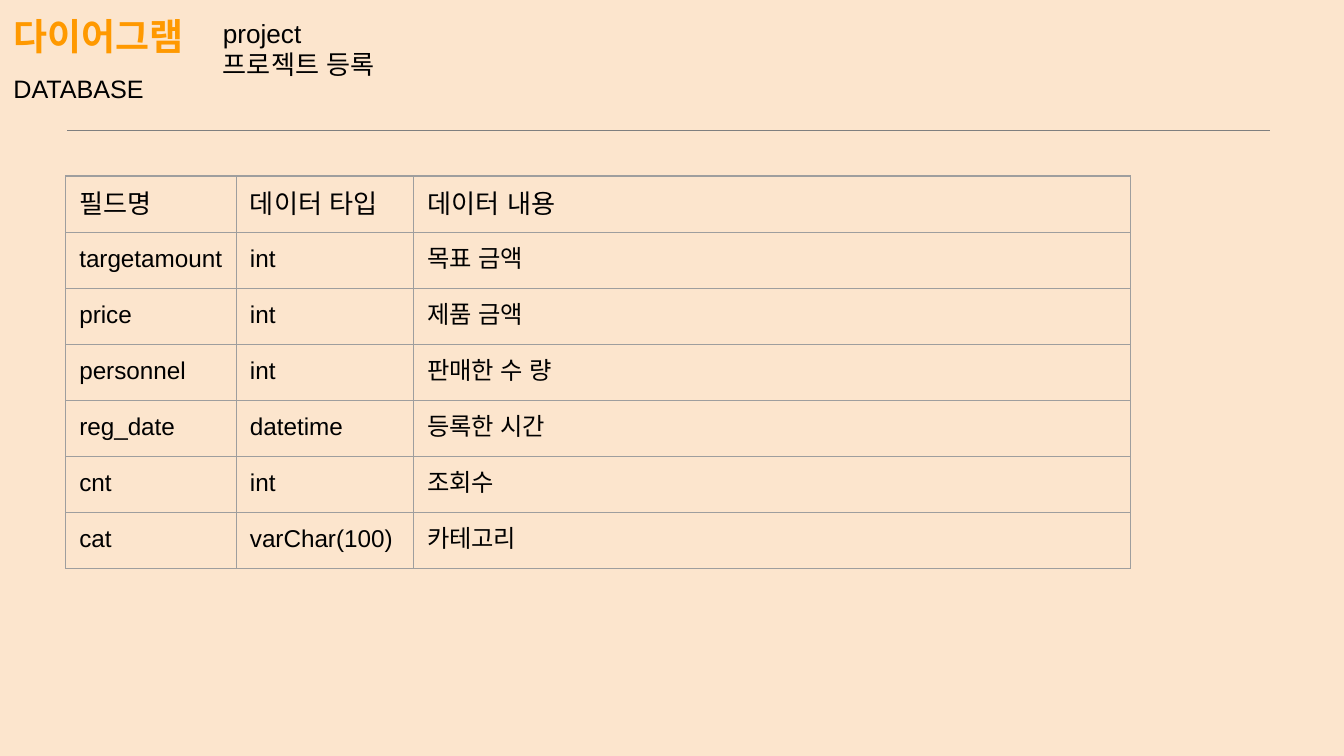
"""Build the database field table slide for project registration."""
from lxml import etree
from pptx import Presentation
from pptx.dml.color import RGBColor
from pptx.enum.lang import MSO_LANGUAGE_ID
from pptx.enum.shapes import MSO_CONNECTOR
from pptx.enum.text import MSO_ANCHOR, MSO_AUTO_SIZE, PP_ALIGN
from pptx.oxml.ns import qn
from pptx.util import Inches, Pt

STRAIGHT = MSO_CONNECTOR.STRAIGHT
TOP, LEFT = MSO_ANCHOR.TOP, PP_ALIGN.LEFT
NO_FIT = MSO_AUTO_SIZE.NONE
KOREAN = MSO_LANGUAGE_ID.KOREAN

HEADING = [("다이어그램", "heading"), ("DATABASE", "subheading")]
TOPIC = [("project", "label"), ("프로젝트 등록", "label")]
FIELDS = [
    ("필드명", "데이터 타입", "데이터 내용"),
    ("targetamount", "int", "목표 금액"),
    ("price", "int", "제품 금액"),
    ("personnel", "int", "판매한 수 량"),
    ("reg_date", "datetime", "등록한 시간"),
    ("cnt", "int", "조회수"),
    ("cat", "varChar(100)", "카테고리"),
]
COLUMN_WIDTHS = (1.27, 1.32, 5.33)
ROW_HEIGHT = Pt(30)
THEME = {
    "font": "Arial",
    "background": "FCE5CD",
    "rule": "7F7F7F",
    "border": "9E9E9E",
    "line": 0.75,
    "inset": 0.1,
    "heading": {"size": 19.8, "color": "FF9900", "bold": True},
    "subheading": {"size": 13.5, "color": "000000", "bold": False},
    "label": {"size": 14, "color": "000000", "bold": False},
    "entry": {"size": 13, "color": "000000", "bold": False},
}
FRAME_FORMAT = {"word_wrap": True, "auto_size": NO_FIT, "vertical_anchor": TOP}


def set_insets(target):
    for side in ("left", "top", "right", "bottom"):
        setattr(target, f"margin_{side}", Inches(THEME["inset"]))


def write(frame, lines):
    for index, (text, role) in enumerate(lines):
        paragraph = frame.add_paragraph() if index else frame.paragraphs[0]
        paragraph.alignment = LEFT
        run = paragraph.add_run()
        run.text = text
        style = THEME[role]
        font_format = {
            "name": THEME["font"],
            "size": Pt(style["size"]),
            "bold": style["bold"],
            "language_id": KOREAN,
        }
        for name, value in font_format.items():
            setattr(run.font, name, value)
        run.font.color.rgb = RGBColor.from_string(style["color"])
        for script in ("ea", "cs"):
            etree.SubElement(run._r.rPr, qn(f"a:{script}"), typeface=THEME["font"])


def fill_text_shape(shape, lines):
    for name, value in FRAME_FORMAT.items():
        setattr(shape.text_frame, name, value)
    set_insets(shape.text_frame)
    write(shape.text_frame, lines)


def draw_borders(cell):
    properties = cell._tc.get_or_add_tcPr()
    for index, side in enumerate(("lnL", "lnR", "lnT", "lnB")):
        border = etree.Element(qn(f"a:{side}"), w=str(Pt(THEME["line"])))
        fill = etree.SubElement(border, qn("a:solidFill"))
        etree.SubElement(fill, qn("a:srgbClr"), val=THEME["border"])
        properties.insert(index, border)


def add_rule(slide):
    rule = slide.shapes.add_connector(
        STRAIGHT, Inches(0.5), Inches(0.97), Inches(9.45), Inches(0.97))
    rule.line.color.rgb = RGBColor.from_string(THEME["rule"])
    rule.line.width = Pt(THEME["line"])
    etree.SubElement(rule._element.spPr, qn("a:effectLst"))


def add_heading(slide):
    title = slide.shapes.title
    box = {"left": 0, "top": 0, "width": 1.68, "height": 0.64}
    for name, value in box.items():
        setattr(title, name, Inches(value))
    fill_text_shape(title, HEADING)
    title.text_frame.paragraphs[1].line_spacing = 1.5


def add_topic(slide):
    topic = slide.shapes.add_textbox(Inches(1.56), Inches(0.03), Inches(1.56), Inches(0.67))
    fill_text_shape(topic, TOPIC)


def add_fields(slide):
    table = slide.shapes.add_table(
        len(FIELDS), len(COLUMN_WIDTHS), Inches(0.49), Inches(1.31),
        Inches(sum(COLUMN_WIDTHS)), ROW_HEIGHT * len(FIELDS)).table
    table.first_row = table.horz_banding = False
    for column, width in zip(table.columns, COLUMN_WIDTHS):
        column.width = Inches(width)
    for index, (row, field) in enumerate(zip(table.rows, FIELDS)):
        row.height = ROW_HEIGHT
        for cell, text in zip(row.cells, field):
            cell.fill.background()
            cell.vertical_anchor = TOP
            set_insets(cell)
            write(cell.text_frame, [(text, "entry" if index else "label")])
            draw_borders(cell)


def main():
    deck = Presentation()
    deck.slide_width = Inches(10)
    deck.slide_height = deck.slide_width * 9 // 16
    slide = deck.slides.add_slide(deck.slide_layouts[5])
    slide.background.fill.solid()
    slide.background.fill.fore_color.rgb = RGBColor.from_string(THEME["background"])
    add_rule(slide)
    add_heading(slide)
    add_topic(slide)
    add_fields(slide)
    deck.save("out.pptx")


if __name__ == "__main__":
    main()
